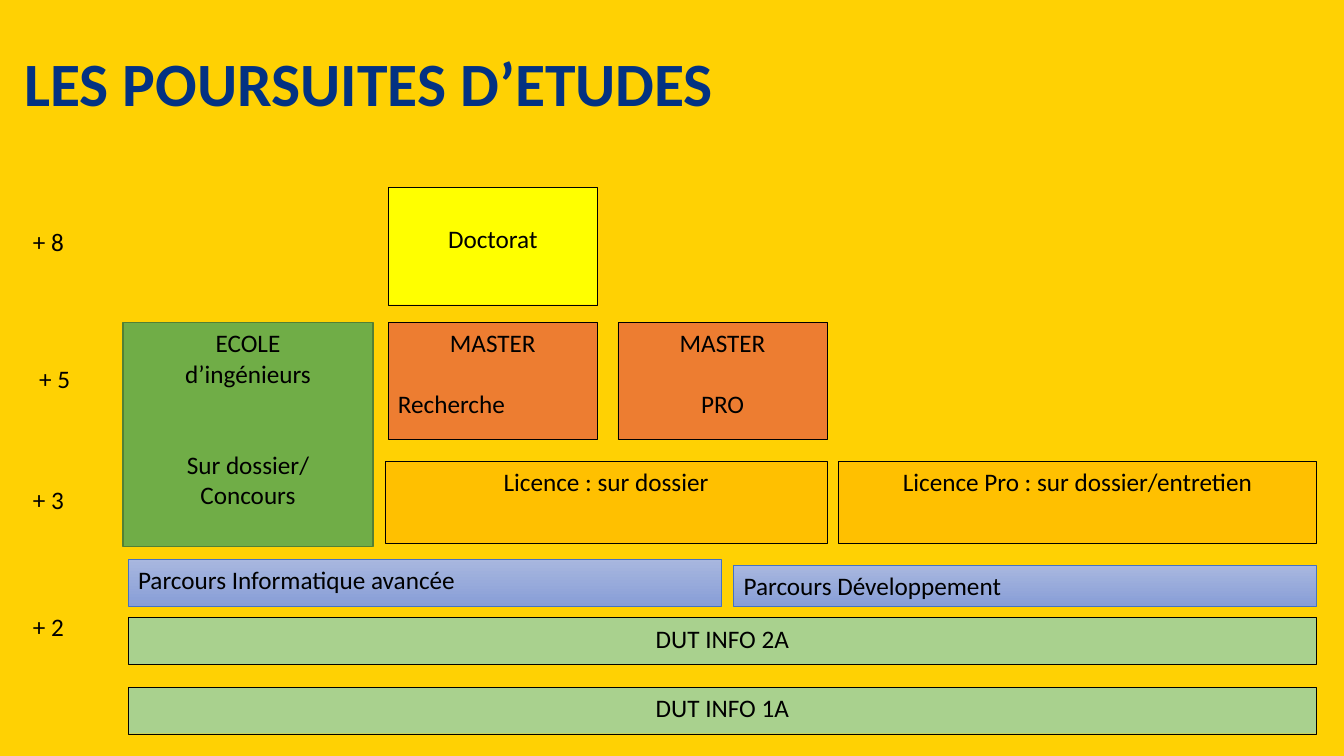
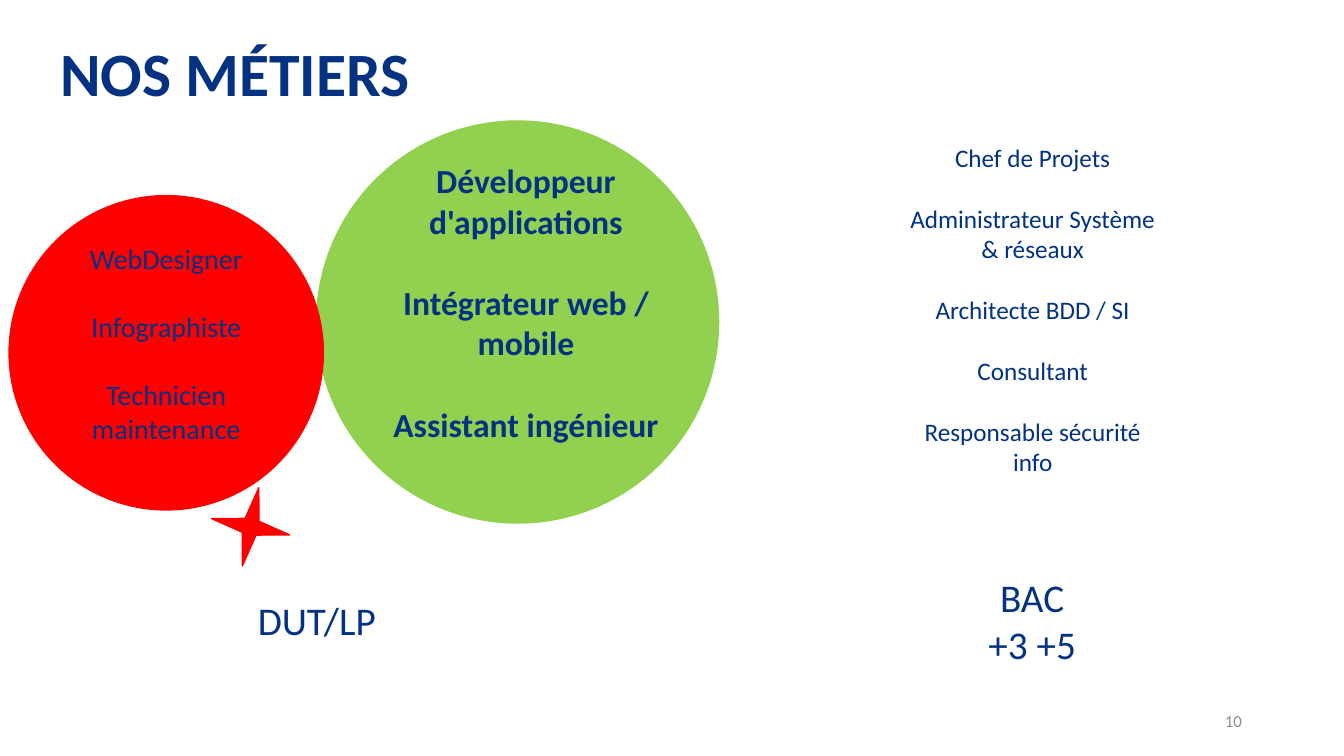
from lxml import etree
from pptx import Presentation
from pptx.dml.color import RGBColor
from pptx.enum.shapes import MSO_SHAPE
from pptx.enum.text import MSO_ANCHOR, MSO_AUTO_SIZE, PP_ALIGN
from pptx.oxml.ns import qn
from pptx.util import Cm, Pt

RECTANGLE, ELLIPSE, STAR = MSO_SHAPE.RECTANGLE, MSO_SHAPE.OVAL, MSO_SHAPE.STAR_4_POINT
LEFT, CENTER, RIGHT = PP_ALIGN.LEFT, PP_ALIGN.CENTER, PP_ALIGN.RIGHT
TOP, MIDDLE = MSO_ANCHOR.TOP, MSO_ANCHOR.MIDDLE
NO_FIT = MSO_AUTO_SIZE.NONE

FONT = "Calibri"
LINE_RATIO = 1.22
FIRST_SLIDE_NUMBER = 9
TITLE_ONLY = 5
COLORS = {
    "navy": "033282", "black": "000000", "white": "FFFFFF", "gray": "8C8C8C",
    "gold": "FFD103", "amber": "FFC000", "orange": "ED7D31", "yellow": "FFFF00",
    "sage": "A9D18E", "green": "70AD47", "forest": "538035", "lime": "92D050",
    "red": "FF0000", "blue": "4472C4", "sky": "A8B7DF", "periwinkle": "889ED7",
}


def rgb(name):
    return RGBColor.from_string(COLORS[name])


def set_font(paragraph, size, color, bold=False):
    paragraph.font.name = FONT
    paragraph.font.size = Pt(size)
    paragraph.font.bold = bold
    paragraph.font.color.rgb = rgb(color)


def prepare_frame(frame, anchor=TOP):
    frame.word_wrap = True
    frame.auto_size = NO_FIT
    frame.vertical_anchor = anchor


def write_lines(frame, lines, size, color, align=CENTER, bold=False, gap=0):
    """Each line is a text, or a text with the number of empty lines above it."""
    prepare_frame(frame)
    for index, line in enumerate(lines):
        text, space = (line, gap) if isinstance(line, str) else line
        paragraph = frame.paragraphs[0] if index == 0 else frame.add_paragraph()
        paragraph.text = text
        paragraph.alignment = align
        if index and space:
            paragraph.space_before = Pt(round(space * size * LINE_RATIO, 1))
        set_font(paragraph, size, color, bold)


def add_text(page, place, lines, size=18, color="navy", **style):
    box = page.shapes.add_textbox(*map(Cm, place))
    write_lines(box.text_frame, lines, size, color, **style)
    return box


def add_figure(page, kind, place, fill, line, weight):
    figure = page.shapes.add_shape(kind, *map(Cm, place))
    figure.shadow.inherit = False
    if isinstance(fill, tuple):
        figure.fill.gradient()
        figure.fill.gradient_angle = 270
        for stop, name in zip(figure.fill.gradient_stops, fill):
            stop.color.rgb = rgb(name)
    else:
        figure.fill.solid()
        figure.fill.fore_color.rgb = rgb(fill)
    figure.line.color.rgb = rgb(line)
    figure.line.width = Pt(weight)
    return figure


def add_stage(page, place, lines, fill, line="black", weight=0.25, align=CENTER):
    stage = add_figure(page, RECTANGLE, place, fill, line, weight)
    write_lines(stage.text_frame, lines, 18, "black", align)
    return stage


def add_slide_number(page):
    box = page.shapes.add_textbox(Cm(23.93), Cm(17.65), Cm(7.62), Cm(1.02))
    prepare_frame(box.text_frame, MIDDLE)
    paragraph = box.text_frame.paragraphs[0]
    paragraph.alignment = RIGHT
    set_font(paragraph, 12, "gray")
    field = etree.SubElement(paragraph._p, qn("a:fld"), type="slidenum",
                             id="{5B2C7A10-3D4E-4F60-8A91-B2C3D4E5F607}")
    etree.SubElement(field, qn("a:rPr"), lang="fr-FR")
    etree.SubElement(field, qn("a:t")).text = "10"


def add_page(deck, background, title, place):
    page = deck.slides.add_slide(deck.slide_layouts[TITLE_ONLY])
    page.background.fill.solid()
    page.background.fill.fore_color.rgb = rgb(background)
    heading = page.shapes.title
    heading.left, heading.top, heading.width, heading.height = map(Cm, place)
    prepare_frame(heading.text_frame, MIDDLE)
    paragraph = heading.text_frame.paragraphs[0]
    paragraph.text = title
    paragraph.alignment = LEFT
    paragraph.line_spacing = 0.9
    set_font(paragraph, 44, "navy", bold=True)
    return page


def build_studies(deck):
    page = add_page(deck, "gold", "LES POURSUITES D’ETUDES", (0.36, 0.33, 21.67, 3.68))

    for top, text, weight in ((17.32, "DUT INFO 1A", 0.25), (15.57, "DUT INFO 2A", 0.75)):
        add_stage(page, (3.23, top, 29.95, 1.17), [text], "sage", weight=weight)

    for place, text in (((3.23, 14.1, 14.96, 1.17), "Parcours Informatique avancée"),
                        ((18.49, 14.25, 14.69, 1.02), "Parcours Développement")):
        add_stage(page, place, [text], ("sky", "periwinkle"), "blue", 0.5, LEFT)

    for left, width, text in ((9.7, 11.15, "Licence : sur dossier"),
                              (21.13, 12.05, "Licence Pro : sur dossier/entretien")):
        add_stage(page, (left, 11.63, width, 2.06), [text], "amber")

    for left, text, align in ((9.78, "Recherche", LEFT), (15.57, "PRO", CENTER)):
        master = add_stage(page, (left, 8.13, 5.28, 2.95), ["MASTER", (text, 1)], "orange")
        master.text_frame.paragraphs[1].alignment = align

    add_stage(page, (3.1, 8.13, 6.3, 5.64),
              ["ECOLE", "d’ingénieurs", ("Sur dossier/", 2), "Concours"],
              "green", "forest", 1)
    doctorate = add_stage(page, (9.78, 4.73, 5.28, 2.95), ["Doctorat"], "yellow")
    doctorate.text_frame.margin_top = Cm(0.9)

    for left, top, text in ((0.58, 15.27, "+ 2"), (0.58, 12.09, "+ 3"),
                            (0.74, 9.02, "+ 5"), (0.58, 5.59, "+ 8")):
        add_text(page, (left, top, 2.2, 1.17), [text], color="black", align=LEFT)


def build_jobs(deck):
    page = add_page(deck, "white", "NOS MÉTIERS", (1.27, 0.08, 14.81, 3.68))
    add_slide_number(page)

    for left, top, size, color in ((7.98, 3.05, 10.13, "lime"), (0.23, 4.93, 7.92, "red")):
        add_figure(page, ELLIPSE, (left, top, size, size), color, color, 1)
    star = add_figure(page, STAR, (5.31, 12.27, 2.01, 2.01), "red", "red", 1)
    star.rotation = 11.8

    add_text(page, (9.42, 3.91, 7.67, 7.44),
             ["Développeur d'applications", "Intégrateur web / mobile", "Assistant ingénieur"],
             24, bold=True, gap=1)
    add_text(page, (1.5, 5.97, 5.38, 5.38),
             ["WebDesigner", "Infographiste", "Technicien maintenance"], 20, gap=1)
    add_text(page, (22.56, 3.45, 6.93, 8.71),
             ["Chef de Projets", "Administrateur Système & réseaux", "Architecte BDD / SI",
              "Consultant", "Responsable sécurité info"], gap=1)
    add_text(page, (24.64, 14.33, 2.74, 2.64), ["BAC +3 +5"], 28)
    add_text(page, (5.99, 14.91, 3.99, 1.45), ["DUT/LP"], 28)


def main():
    deck = Presentation()
    deck.slide_width, deck.slide_height = Cm(33.87), Cm(19.05)
    deck.element.set("firstSlideNum", str(FIRST_SLIDE_NUMBER))
    build_studies(deck)
    build_jobs(deck)
    deck.save("out.pptx")


if __name__ == "__main__":
    main()
